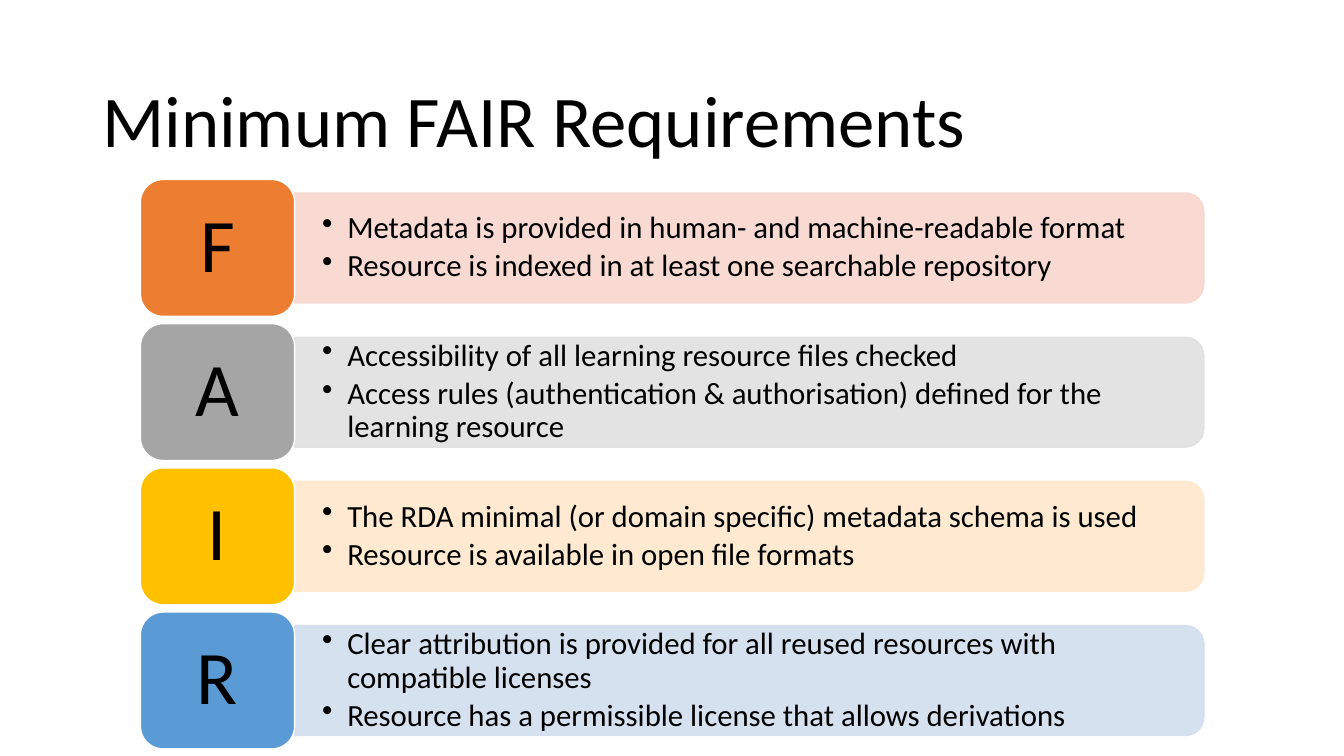
from dataclasses import dataclass

from lxml import etree
from pptx import Presentation
from pptx import util as u
from pptx.dml import color
from pptx.enum import shapes, text
from pptx.oxml import ns

Pt = u.Pt
RGB = color.RGBColor.from_string


@dataclass(frozen=True)
class Theme:
    font: str = "Calibri"
    ink: str = "000000"
    edge: str = "FFFFFF"
    title_size: int = 52
    letter_size: int = 54
    body_size: int = 22
    band_alpha: int = 90000


theme = Theme()

principles = [
    ("F", "ED7D31", "F8D7CE", [
        "Metadata is provided in human- and machine-readable format",
        "Resource is indexed in at least one searchable repository"]),
    ("A", "A5A5A5", "E1E1E1", [
        "Accessibility of all learning resource files checked",
        "Access rules (authentication & authorisation) defined for the learning resource"]),
    ("I", "FFC000", "FFE8CC", [
        "The RDA minimal (or domain specific) metadata schema is used",
        "Resource is available in open file formats"]),
    ("R", "5B9BD5", "D2DEEF", [
        "Clear attribution is provided for all reused resources with compatible licenses",
        "Resource has a permissible license that allows derivations"]),
]


def add_box(kind, x, y, w, h, fill, line):
    s = slide.shapes.add_shape(kind, Pt(x), Pt(y), Pt(w), Pt(h))
    s.shadow.inherit = False
    s.fill.solid()
    s.fill.fore_color.rgb = RGB(fill)
    s.line.color.rgb = RGB(line)
    s.line.width = Pt(1)
    return s


def set_text(s, lines, size, align, inset_x, inset_y):
    tf = s.text_frame
    tf.word_wrap = True
    tf.vertical_anchor = text.MSO_ANCHOR.MIDDLE
    tf.margin_left = tf.margin_right = Pt(inset_x)
    tf.margin_top = tf.margin_bottom = Pt(inset_y)
    for i, line in enumerate(lines):
        p = tf.add_paragraph() if i else tf.paragraphs[0]
        p.text = line
        p.alignment = align
        p.line_spacing = 0.9
        if i:
            p.space_before = Pt(3.5)
        p.font.name = theme.font
        p.font.size = Pt(size)
        p.font.color.rgb = RGB(theme.ink)
    return tf


prs = Presentation()
prs.slide_width, prs.slide_height = Pt(960), Pt(540)
slide = prs.slides.add_slide(prs.slide_layouts[6])

title = slide.shapes.add_textbox(Pt(66), Pt(44), Pt(828), Pt(89.3))
set_text(title, ["Minimum FAIR Requirements"], theme.title_size,
         text.PP_ALIGN.LEFT, 7.2, 3.6)

first_top, pitch = 128.2, 103
badge_x, badge_w, badge_h = 100.3, 110.2, 97.8
band_x, band_w, band_h = 210.5, 649.4, 78.5
body_w, body_h = 645.8, 70.6

for row, (letter, strong, pale, points) in enumerate(principles):
    top = first_top + row * pitch
    middle = top + badge_h / 2

    band = add_box(shapes.MSO_SHAPE.ROUND_2_SAME_RECTANGLE,
                   band_x + (band_w - band_h) / 2, middle - band_w / 2,
                   band_h, band_w, pale, pale)
    band.rotation = 90
    for clr in band._element.spPr.iter(ns.qn("a:srgbClr")):
        etree.SubElement(clr, ns.qn("a:alpha"), val=str(theme.band_alpha))

    body = slide.shapes.add_textbox(Pt(band_x), Pt(middle - body_h / 2),
                                    Pt(body_w), Pt(body_h))
    tf = set_text(body, points, theme.body_size, text.PP_ALIGN.LEFT, 19.6, 9.8)
    for p in tf.paragraphs:
        pPr = p._p.get_or_add_pPr()
        pPr.set("marL", str(Pt(18)))
        pPr.set("indent", str(-Pt(18)))
        bullet = etree.Element(ns.qn("a:buChar"), char="•")
        pPr.find(ns.qn("a:defRPr")).addprevious(bullet)

    badge = add_box(shapes.MSO_SHAPE.ROUNDED_RECTANGLE, badge_x, top,
                    badge_w, badge_h, strong, theme.edge)
    set_text(badge, [letter], theme.letter_size, text.PP_ALIGN.CENTER, 16.2, 8.1)

prs.save("out.pptx")
